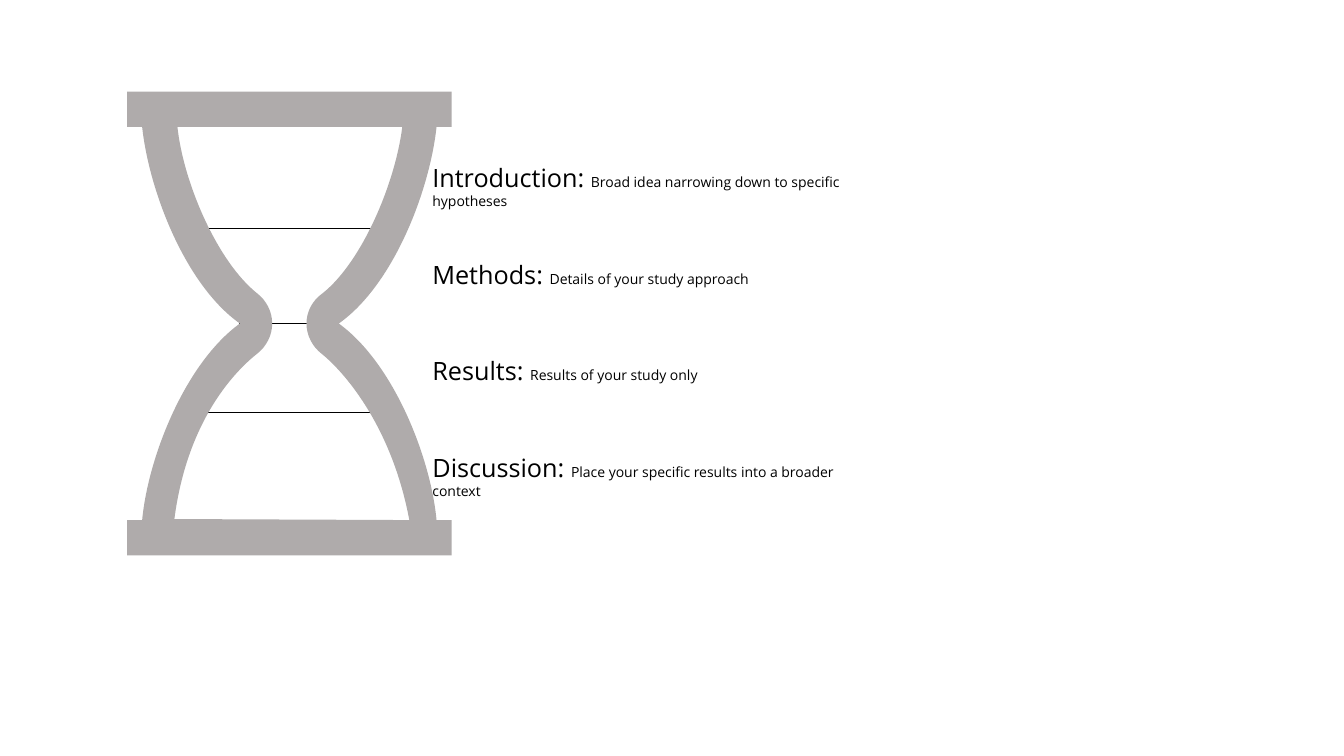
"""Build a slide showing an hourglass beside the sections of a paper."""
from typing import NamedTuple

from lxml import etree
from pptx import Presentation
from pptx.dml.color import RGBColor
from pptx.enum import shapes, text
from pptx.oxml import ns
from pptx.shapes.group import GroupShape
from pptx.util import Inches, Pt

GRAY = RGBColor(0xAF, 0xAB, 0xAB)
BLACK = RGBColor(0, 0, 0)
FONT = "Open Sans"
CENTER_X = 2.87

Point = tuple[float, float]
# A segment of one point is a straight line; one of three points is a curve.
Segment = tuple[Point, ...]


class Divider(NamedTuple):
    """A horizontal line across the glass, in inches."""
    left: float
    right: float
    y: float


class Section(NamedTuple):
    """A section of the paper and what it holds."""
    title: str
    detail: str
    width: float


DIVIDERS = [
    Divider(1.95, 3.8, 4.09),
    Divider(2.37, 3.35, 3.21),
    Divider(1.93, 3.78, 2.27),
]
SECTIONS = [
    Section("Introduction: ", "Broad idea narrowing down to specific hypotheses", 4.74),
    Section("Methods: ", "Details of your study approach", 4.57),
    Section("Results: ", "Results of your study only", 4.42),
    Section("Discussion: ", "Place your specific results into a broader context", 4.42),
]
SECTION_LEFT, SECTION_TOP, SECTION_STEP, SECTION_HEIGHT = 4.19, 1.56, 0.96, 0.4

FRAME_LEFT: list[Segment] = [
    ((1.26, 0.91),),
    ((1.26, 1.26),),
    ((1.41, 1.26),),
    ((1.48, 1.9), (1.84, 2.83), (2.38, 3.21)),
    ((1.84, 3.6), (1.47, 4.53), (1.41, 5.16)),
    ((1.26, 5.16),),
    ((1.26, 5.51),),
]
GLASS: list[Segment] = [
    ((3.19, 3.51),),
    ((3.39, 3.67), (3.88, 4.2), (4.06, 5.16)),
    ((1.73, 5.15),),
    ((1.86, 4.14), (2.36, 3.66), (2.55, 3.51)),
    ((2.64, 3.44), (2.7, 3.33), (2.7, 3.21)),
    ((2.7, 3.09), (2.64, 2.98), (2.55, 2.91)),
    ((2.16, 2.6), (1.82, 1.82), (1.76, 1.26)),
    ((3.99, 1.26),),
    ((3.92, 1.82), (3.59, 2.6), (3.2, 2.91)),
    ((3.1, 2.98), (3.04, 3.09), (3.04, 3.21)),
    ((3.04, 3.33), (3.1, 3.44), (3.19, 3.51)),
]


def mirror(segments: list[Segment]) -> list[Segment]:
    """Reflect segments in the hourglass axis, in reverse order."""
    points = iter([(2 * CENTER_X - x, y)
                   for segment in reversed(segments) for x, y in reversed(segment)])
    sizes = [1] + [len(segment) for segment in reversed(segments[1:])]
    return [tuple(next(points) for _ in range(size)) for size in sizes]


def to_emu(point: Point) -> tuple[int, int]:
    """Convert a point in inches to slide units."""
    return Inches(point[0]), Inches(point[1])


def add_hourglass(group: GroupShape) -> None:
    """Draw the frame with the glass cut out of it."""
    frame = FRAME_LEFT + mirror(FRAME_LEFT)
    builder = group.shapes.build_freeform(*to_emu(frame[0][-1]))
    builder.add_line_segments([to_emu(segment[-1]) for segment in frame[1:]])
    builder.move_to(*to_emu(GLASS[0][-1]))
    builder.add_line_segments([to_emu(segment[-1]) for segment in GLASS[1:]])
    hourglass = builder.convert_to_shape()
    hourglass.shadow.inherit = False
    hourglass.fill.solid()
    hourglass.fill.fore_color.rgb = GRAY
    hourglass.line.fill.background()

    strokes = list(hourglass.element.iter(ns.qn("a:lnTo")))
    for stroke, segment in zip(strokes, frame[1:] + GLASS[1:]):
        if len(segment) == 3:
            stroke.tag = ns.qn("a:cubicBezTo")
            for index, control in enumerate(segment[:2]):
                x, y = to_emu(control)
                stroke.insert(index, etree.Element(
                    ns.qn("a:pt"), x=str(x - hourglass.left), y=str(y - hourglass.top)))


def add_divider(group: GroupShape, divider: Divider) -> None:
    """Draw one thin line across the glass."""
    y = Inches(divider.y)
    line = group.shapes.add_connector(
        shapes.MSO_CONNECTOR.STRAIGHT, Inches(divider.left), y, Inches(divider.right), y)
    line.line.color.rgb = BLACK
    line.line.width = Pt(0.5)
    etree.SubElement(line.element.spPr, ns.qn("a:effectLst"))


def add_section(group: GroupShape, section: Section, top: float) -> None:
    """Write a section title followed by its detail."""
    box = group.shapes.add_textbox(
        Inches(SECTION_LEFT), Inches(top), Inches(section.width), Inches(SECTION_HEIGHT))
    frame = box.text_frame
    frame.word_wrap = True
    frame.auto_size = text.MSO_AUTO_SIZE.SHAPE_TO_FIT_TEXT
    para = frame.paragraphs[0]
    para.font.name = FONT
    para.font.color.rgb = BLACK
    for words, size in ((section.title, 18), (section.detail, 10)):
        span = para.add_run()
        span.text = words
        span.font.size = Pt(size)


def main() -> None:
    """Build and save the deck."""
    deck = Presentation()
    deck.slide_width, deck.slide_height = Inches(13.33), Inches(7.5)
    page = deck.slides.add_slide(deck.slide_layouts[6])
    group = page.shapes.add_group_shape()
    for divider in DIVIDERS:
        add_divider(group, divider)
    add_hourglass(group)
    for row, section in enumerate(SECTIONS):
        add_section(group, section, SECTION_TOP + row * SECTION_STEP)
    deck.save("out.pptx")


main()
